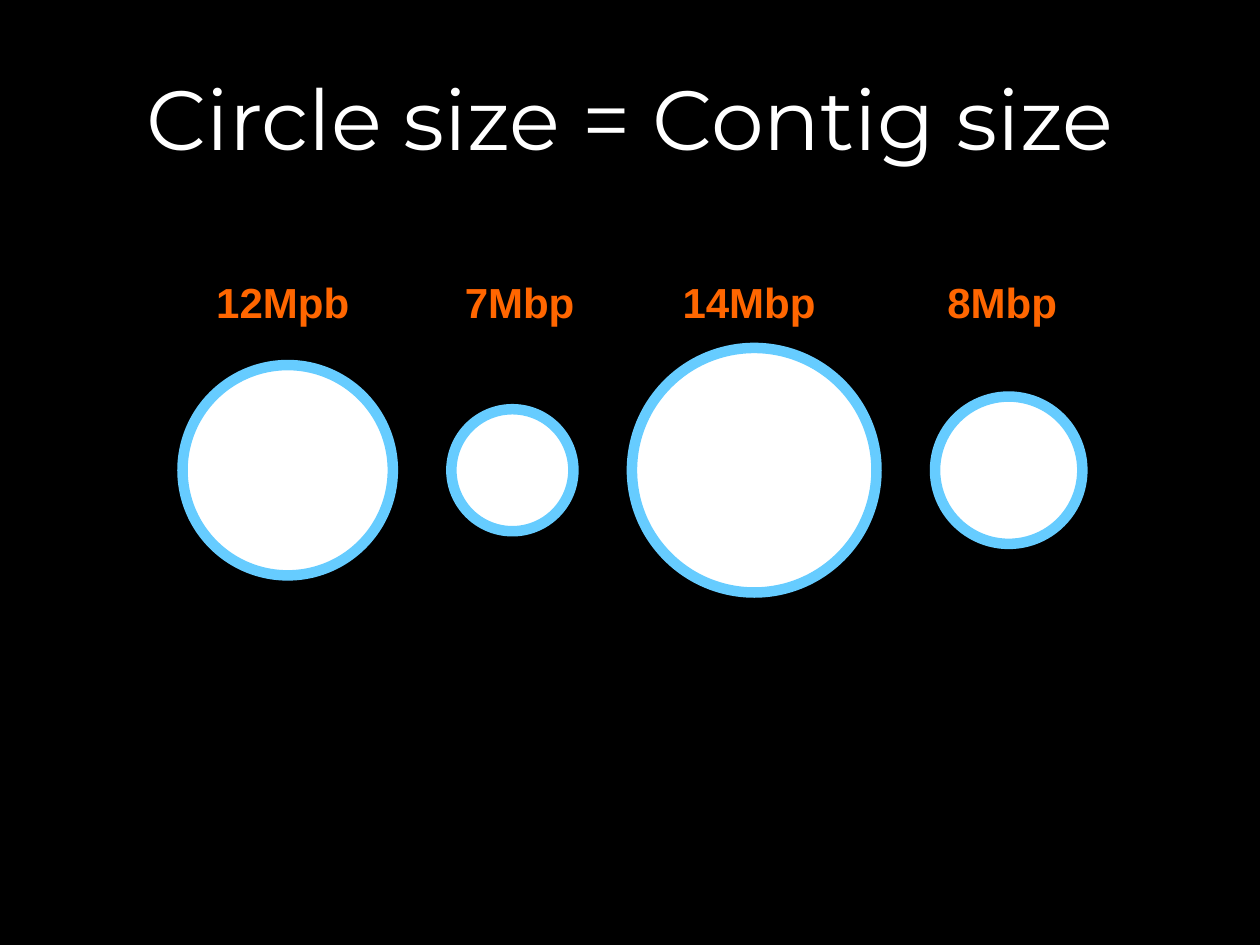
from pptx import Presentation
from pptx.dml.color import RGBColor
from pptx.enum.shapes import MSO_SHAPE
from pptx.enum.text import MSO_ANCHOR, MSO_AUTO_SIZE, PP_ALIGN
from pptx.util import Cm, Pt

OVAL = MSO_SHAPE.OVAL
MIDDLE, TOP = MSO_ANCHOR.MIDDLE, MSO_ANCHOR.TOP
CENTER, LEFT = PP_ALIGN.CENTER, PP_ALIGN.LEFT
FIT_SHAPE, FIXED = MSO_AUTO_SIZE.SHAPE_TO_FIT_TEXT, MSO_AUTO_SIZE.NONE


def rgb(color):
    return RGBColor.from_string(color)


def add_text(s, text, box, frame, align, color, font):
    """Add a one-line text box; frame and font hold attribute values."""
    tf = s.shapes.add_textbox(*[Cm(v) for v in box]).text_frame
    for name, value in frame.items():
        setattr(tf, name, value)
    p = tf.paragraphs[0]
    p.alignment = align
    r = p.add_run()
    r.text = text
    for name, value in font.items():
        setattr(r.font, name, value)
    r.font.color.rgb = rgb(color)


prs = Presentation()
prs.slide_width, prs.slide_height = Cm(25.4), Cm(19.05)
s = prs.slides.add_slide(prs.slide_layouts[6])
s.background.fill.solid()
s.background.fill.fore_color.rgb = rgb("000000")

title_frame = {"word_wrap": True, "auto_size": FIXED, "vertical_anchor": MIDDLE}
title_font = {"name": "Montserrat", "size": Pt(48)}
add_text(s, "Circle size = Contig size", (0.61, 0.76, 24.18, 3.18),
         title_frame, CENTER, "FFFFFF", title_font)

# Label, circle diameter, label left, label width
contigs = [
    ("12Mpb", 4.24, 4.11, 3.23),
    ("7Mbp", 2.46, 9.12, 2.74),
    ("14Mbp", 4.93, 13.51, 3.23),
    ("8Mbp", 2.97, 18.85, 2.74),
]
label_frame = {"word_wrap": False, "auto_size": FIT_SHAPE, "vertical_anchor": TOP}
label_font = {"name": "Arial", "size": Pt(24), "bold": True}
center_y, gap = 9.48, 1.18

# Circles stand on a common centre line with equal gaps
x = 3.68
for label, size, label_x, label_w in contigs:
    sp = s.shapes.add_shape(OVAL, Cm(x), Cm(center_y - size / 2), Cm(size), Cm(size))
    sp.shadow.inherit = False
    sp.fill.solid()
    sp.fill.fore_color.rgb = rgb("FFFFFF")
    sp.line.color.rgb = rgb("66CCFF")
    sp.line.width = Pt(6)
    add_text(s, label, (label_x, 5.44, label_w, 1.27),
             label_frame, LEFT, "FF6600", label_font)
    x += size + gap

prs.save("out.pptx")
